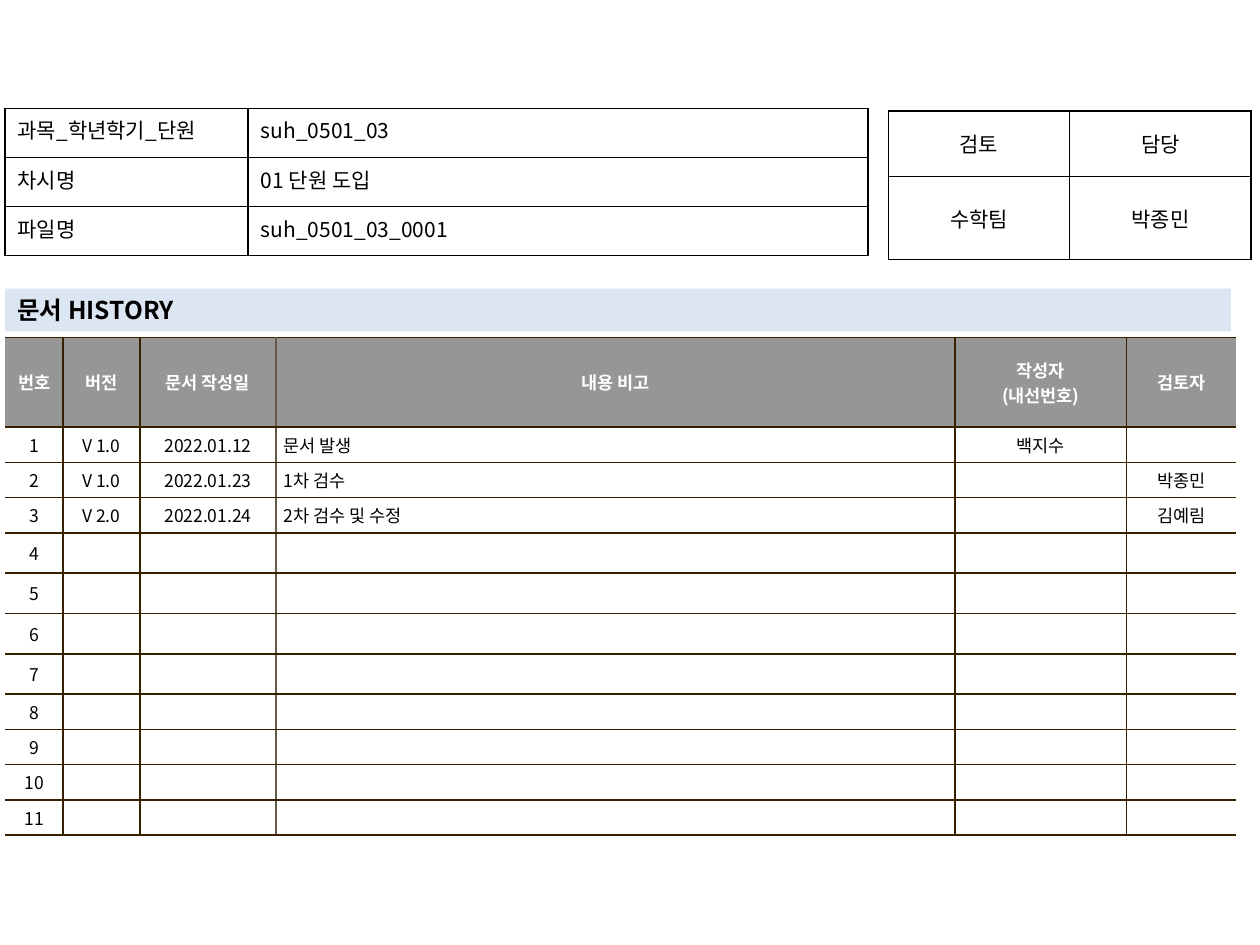
from lxml.etree import SubElement
from pptx import Presentation
from pptx.dml.color import RGBColor
from pptx.enum.text import MSO_ANCHOR as Anchor, PP_ALIGN as Align
from pptx.oxml.ns import qn
from pptx.util import Inches, Pt

FONT = "Noto Sans CJK KR"
BLACK = RGBColor(0x00, 0x00, 0x00)
WHITE = RGBColor(0xFF, 0xFF, 0xFF)
GRAY = RGBColor(0x96, 0x96, 0x96)
PALE_BLUE = RGBColor(0xDC, 0xE6, 0xF2)
BROWN = RGBColor(0x36, 0x20, 0x00)
TAUPE = RGBColor(0x64, 0x5B, 0x4C)

# Content
HEADING = "문서 HISTORY"
FILE_INFO = [
    ("과목_학년학기_단원", "suh_0501_03"),
    ("차시명", "01 단원 도입"),
    ("파일명", "suh_0501_03_0001"),
]
REVIEW = [("검토", "담당"), ("수학팀", "박종민")]
HISTORY_HEAD = ("번호", "버전", "문서 작성일", "내용 비고", "작성자\n(내선번호)", "검토자")
HISTORY_ENTRIES = [
    ("V 1.0", "2022.01.12", "문서 발생", "백지수", ""),
    ("V 1.0", "2022.01.23", "1차 검수", "", "박종민"),
    ("V 2.0", "2022.01.24", "2차 검수 및 수정", "", "김예림"),
]
ENTRY_COUNT = 11
NOTE_COLUMN = 3

# Text formats and cell margins (left and right, top and bottom)
INFO_TEXT = {"size": Pt(12), "bold": False, "color": BLACK}
HEAD_TEXT = {"size": Pt(10), "bold": True, "color": WHITE}
ENTRY_TEXT = {"size": Pt(10), "bold": False, "color": BLACK}
HEADING_TEXT = {"size": Pt(14), "bold": True, "color": BLACK}
INFO_MARGINS = (0.1, 0.05)
HISTORY_MARGINS = (0.06, 0.04)


def write(frame, text, style, align):
    for index, line in enumerate(text.split("\n")):
        para = frame.paragraphs[0] if index == 0 else frame.add_paragraph()
        para.alignment = align
        if not line:
            # Keeps an empty cell from growing past its row height
            SubElement(para._p, qn("a:endParaRPr"), sz=str(int(style["size"].pt * 100)))
            continue
        span = para.add_run()
        span.text = line
        for name, value in style.items():
            if name == "color":
                span.font.color.rgb = value
            else:
                setattr(span.font, name, value)
        span.font.name = FONT
        SubElement(span._r.get_or_add_rPr(), qn("a:ea"), typeface=FONT)


def set_borders(cell, colors):
    """Draw the L, R, T and B edges; None hides an edge."""
    properties = cell._tc.get_or_add_tcPr()
    for side, color in zip("LRTB", colors):
        line = SubElement(properties, qn(f"a:ln{side}"), w=str(Pt(1)))
        if color is None:
            SubElement(line, qn("a:noFill"))
        else:
            fill = SubElement(line, qn("a:solidFill"))
            SubElement(fill, qn("a:srgbClr"), val=str(color))


def add_grid(page, left, top, widths, heights, rows, margins, cell_format):
    """cell_format(row, column) gives style, align, anchor, fill and borders."""
    table = page.shapes.add_table(
        len(rows), len(widths), Inches(left), Inches(top),
        Inches(sum(widths)), Inches(sum(heights))).table
    table.first_row = table.horz_banding = False
    for column, width in zip(table.columns, widths):
        column.width = Inches(width)
    for row, height in zip(table.rows, heights):
        row.height = Inches(height)
    side, end = map(Inches, margins)
    for r, texts in enumerate(rows):
        for c, text in enumerate(texts):
            cell = table.cell(r, c)
            style, align, anchor, fill, borders = cell_format(r, c)
            cell.margin_left = cell.margin_right = side
            cell.margin_top = cell.margin_bottom = end
            cell.vertical_anchor = anchor
            write(cell.text_frame, text, style, align)
            set_borders(cell, borders)
            if fill is None:
                cell.fill.background()
            else:
                cell.fill.solid()
                cell.fill.fore_color.rgb = fill


def history_format(row, column):
    last = len(HISTORY_HEAD) - 1
    left = {0: None, NOTE_COLUMN: TAUPE}.get(column, BROWN)
    right = {last: None, NOTE_COLUMN - 1: TAUPE}.get(column, BROWN)
    is_note = row > 0 and column == NOTE_COLUMN
    return (HEAD_TEXT if row == 0 else ENTRY_TEXT,
            Align.LEFT if is_note else Align.CENTER,
            Anchor.MIDDLE,
            GRAY if row == 0 else WHITE,
            (left, right, BROWN, BROWN))


def review_format(row, column):
    return INFO_TEXT, Align.CENTER, Anchor.MIDDLE, None, [BLACK] * 4


def file_format(row, column):
    align = Align.JUSTIFY if column == 0 else Align.LEFT
    return INFO_TEXT, align, Anchor.TOP, None, [BLACK] * 4


def main():
    deck = Presentation()
    deck.slide_width, deck.slide_height = Inches(10), Inches(7.5)
    page = deck.slides.add_slide(deck.slide_layouts[6])

    # Document history
    blank = ("",) * (len(HISTORY_HEAD) - 1)
    entries = HISTORY_ENTRIES + [blank] * (ENTRY_COUNT - len(HISTORY_ENTRIES))
    rows = [HISTORY_HEAD] + [(str(n), *entry) for n, entry in enumerate(entries, 1)]
    heights = [0.71] + [0.28] * 3 + [0.32] * 4 + [0.28] * 4
    add_grid(page, 0.04, 2.68, (0.46, 0.61, 1.08, 5.39, 1.36, 0.87), heights,
             rows, HISTORY_MARGINS, history_format)

    # Review sign-off
    add_grid(page, 7.05, 0.88, (1.44, 1.44), (0.52, 0.66),
             REVIEW, INFO_MARGINS, review_format)

    # History heading bar
    bar = page.shapes.add_textbox(Inches(0.04), Inches(2.29), Inches(9.73), Inches(0.34))
    bar.fill.solid()
    bar.fill.fore_color.rgb = PALE_BLUE
    bar.text_frame.word_wrap = True
    write(bar.text_frame, HEADING, HEADING_TEXT, Align.LEFT)

    # File details
    add_grid(page, 0.04, 0.86, (1.93, 4.92), [0.39] * 3,
             FILE_INFO, INFO_MARGINS, file_format)

    deck.save("out.pptx")


if __name__ == "__main__":
    main()
